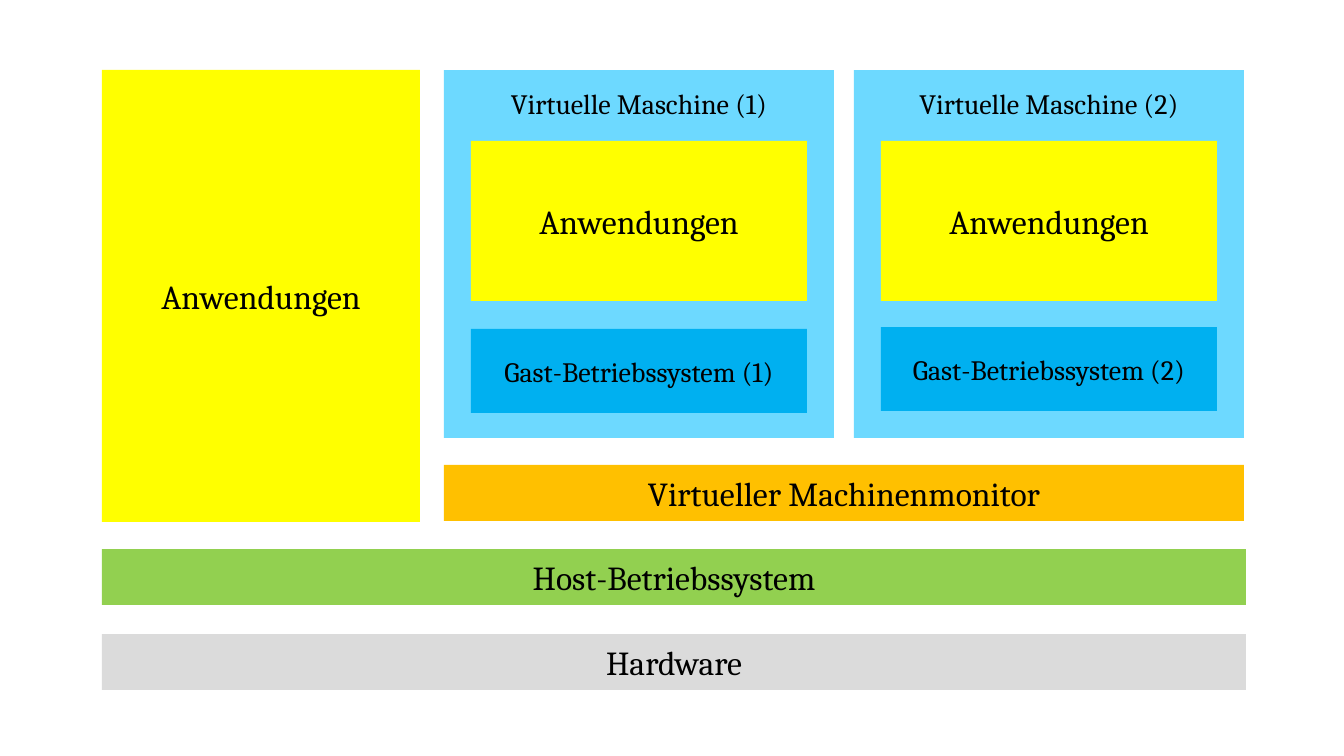
from dataclasses import dataclass

from pptx import Presentation
from pptx import util as u
from pptx.dml.color import RGBColor
from pptx.enum import shapes, text

SLIDE_W, SLIDE_H = 1344, 756
PX_PER_INCH = 100.8


@dataclass(frozen=True)
class Theme:
    font: str = "Cambria"
    large: int = 24
    small: int = 20
    ink: str = "000000"
    hardware: str = "DBDBDB"
    host: str = "92D050"
    apps: str = "FFFF00"
    monitor: str = "FFC000"
    machine: str = "6DD9FF"
    guest: str = "00B0F0"


THEME = Theme()


def px(n):
    return u.Inches(n / PX_PER_INCH)


def add_block(s, label, box, color, size=THEME.large):
    """Filled rectangle with a centred label."""
    sp = s.shapes.add_shape(shapes.MSO_SHAPE.RECTANGLE, *map(px, box))
    sp.shadow.inherit = False
    sp.fill.solid()
    sp.fill.fore_color.rgb = RGBColor.from_string(color)
    sp.line.fill.background()
    tf = sp.text_frame
    tf.word_wrap = True
    tf.vertical_anchor = text.MSO_ANCHOR.MIDDLE
    p = tf.paragraphs[0]
    p.text = label
    p.alignment = text.PP_ALIGN.CENTER
    p.font.name = THEME.font
    p.font.size = u.Pt(size)
    p.font.color.rgb = RGBColor.from_string(THEME.ink)
    return sp


def add_machine(s, number, left, guest_top):
    """Virtual machine holding its applications and guest system."""
    sp = add_block(s, f"Virtuelle Maschine ({number})",
                   (left, 70, 390, 368), THEME.machine, THEME.small)
    sp.text_frame.vertical_anchor = text.MSO_ANCHOR.TOP
    sp.text_frame.margin_top = px(16)
    inner = left + 27
    add_block(s, f"Gast-Betriebssystem ({number})",
              (inner, guest_top, 336, 84), THEME.guest, THEME.small)
    add_block(s, "Anwendungen", (inner, 141, 336, 160), THEME.apps)


def main():
    prs = Presentation()
    prs.slide_width, prs.slide_height = px(SLIDE_W), px(SLIDE_H)
    s = prs.slides.add_slide(prs.slide_layouts[6])

    # Layers below the machines
    add_block(s, "Hardware", (102, 634, 1144, 56), THEME.hardware)
    add_block(s, "Host-Betriebssystem", (102, 549, 1144, 56), THEME.host)
    add_block(s, "Virtueller Machinenmonitor", (444, 465, 800, 56), THEME.monitor)

    # Applications running directly on the host
    add_block(s, "Anwendungen", (102, 70, 318, 452), THEME.apps)

    # Virtual machines
    add_machine(s, 1, 444, 329)
    add_machine(s, 2, 854, 327)

    prs.save("out.pptx")


if __name__ == "__main__":
    main()
